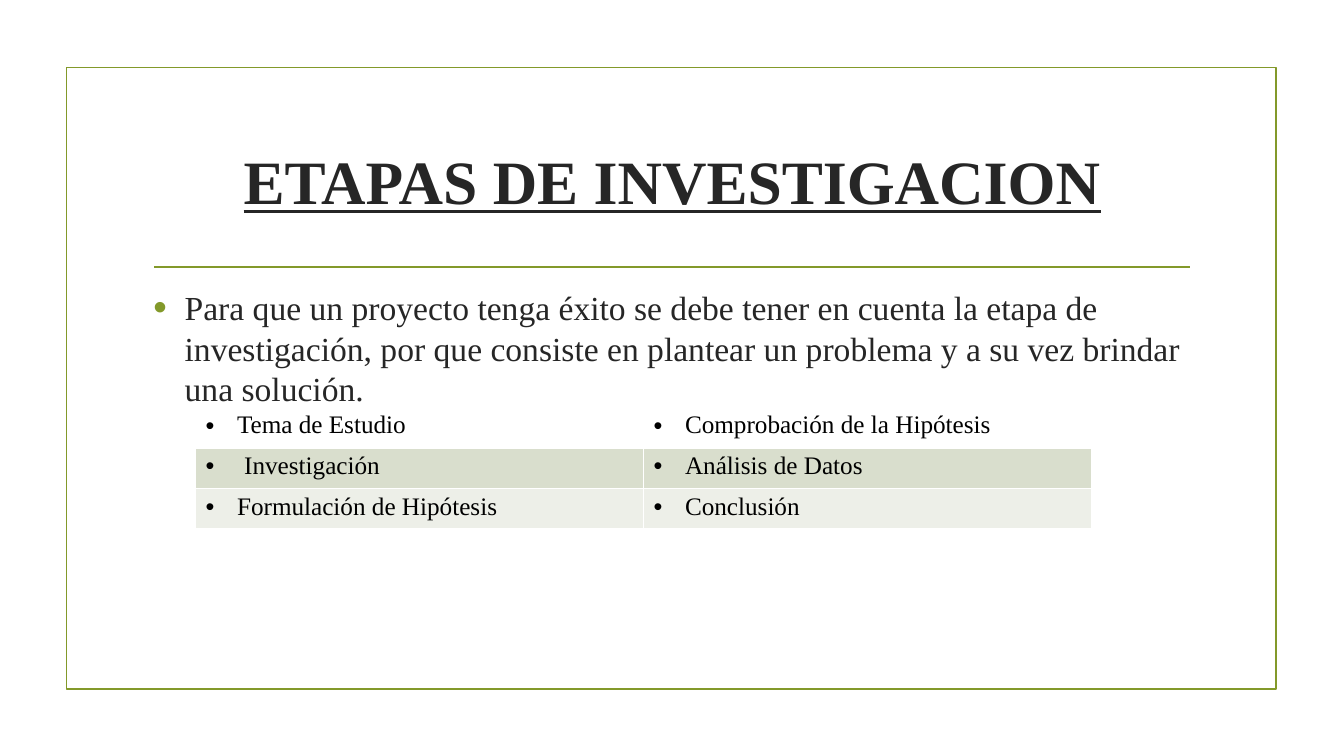
from lxml.etree import SubElement
from pptx import Presentation
from pptx.dml.color import RGBColor
from pptx.enum.shapes import MSO_CONNECTOR, MSO_SHAPE
from pptx.enum.text import MSO_ANCHOR, MSO_AUTO_SIZE, PP_ALIGN
from pptx.oxml.ns import qn
from pptx.util import Cm, Pt

FONT = "Times New Roman"
GREEN = "83992A"
TITLE = "ETAPAS DE INVESTIGACION"
INTRODUCTION = (
    "Para que un proyecto tenga éxito se debe tener en cuenta la etapa de "
    "investigación, por que consiste en plantear un problema y a su vez "
    "brindar una solución."
)
STAGES = [
    ["Tema de Estudio", "Comprobación de la Hipótesis"],
    ["Investigación", "Análisis de Datos"],
    ["Formulación de Hipótesis", "Conclusión"],
]
ROW_FILLS = [None, "D9DECD", "EDEFE8"]
WIDE_INDENT_STAGE = "Investigación"

TITLE_FORMAT = {"name": FONT, "size": Pt(44), "bold": True, "underline": True}
BODY_FORMAT = {"name": FONT, "size": Pt(24)}
STAGE_FORMAT = {"name": FONT, "size": Pt(18), "bold": False}


def color(value):
    return RGBColor.from_string(value)


def apply_format(target, values):
    for name, value in values.items():
        setattr(target, name, value)


def write(para, text, values, text_color):
    span = para.add_run()
    span.text = text
    apply_format(span.font, values)
    span.font.color.rgb = color(text_color)


def add_bullet(para, indent, bullet_color=None, percent=100):
    properties = para._p.get_or_add_pPr()
    properties.set("marL", str(Cm(indent)))
    properties.set("indent", str(-Cm(indent)))
    if bullet_color:
        holder = SubElement(properties, qn("a:buClr"))
        SubElement(holder, qn("a:srgbClr"), val=bullet_color)
    SubElement(properties, qn("a:buSzPct"), val=str(percent * 1000))
    SubElement(properties, qn("a:buFont"), typeface="Arial")
    SubElement(properties, qn("a:buChar"), char="•")


def place(shape, box):
    left, top, width, height = box
    apply_format(shape, {"left": Cm(left), "top": Cm(top),
                         "width": Cm(width), "height": Cm(height)})


def add_frame(page, box):
    frame = page.shapes.add_shape(MSO_SHAPE.RECTANGLE, *map(Cm, box))
    frame.shadow.inherit = False
    frame.fill.background()
    frame.line.color.rgb = color(GREEN)
    frame.line.width = Pt(1.25)


def add_title(page, box):
    left, top, width, height = box
    title = page.shapes.title
    place(title, box)
    apply_format(title.text_frame, {"word_wrap": True,
                                    "auto_size": MSO_AUTO_SIZE.NONE,
                                    "vertical_anchor": MSO_ANCHOR.MIDDLE})
    para = title.text_frame.paragraphs[0]
    para.alignment = PP_ALIGN.CENTER
    write(para, TITLE, TITLE_FORMAT, "262626")

    rule_y = Cm(top + height + 0.38)
    rule = page.shapes.add_connector(MSO_CONNECTOR.STRAIGHT, Cm(left + 0.28),
                                     rule_y, Cm(left + width - 0.28), rule_y)
    rule.line.color.rgb = color(GREEN)
    rule.line.width = Pt(1.25)
    SubElement(rule._element.spPr, qn("a:effectLst"))


def add_introduction(page, box):
    body = page.placeholders[1]
    place(body, box)
    apply_format(body.text_frame, {"word_wrap": True,
                                   "auto_size": MSO_AUTO_SIZE.NONE,
                                   "vertical_anchor": MSO_ANCHOR.TOP})
    para = body.text_frame.paragraphs[0]
    apply_format(para, {"line_spacing": 1.0, "space_after": Pt(6)})
    add_bullet(para, 0.79, GREEN, 115)
    write(para, INTRODUCTION, BODY_FORMAT, "262626")


def add_borders(cell, widths):
    properties = cell._tc.get_or_add_tcPr()
    for position, (side, width) in enumerate(widths.items()):
        border = SubElement(properties, qn(f"a:{side}"), w=str(Pt(width)))
        fill = SubElement(border, qn("a:solidFill"))
        SubElement(fill, qn("a:srgbClr"), val="FFFFFF")
        properties.insert(position, border)


def add_stages(page, box):
    table = page.shapes.add_table(len(STAGES), len(STAGES[0]),
                                  *map(Cm, box)).table
    apply_format(table, {"first_row": False, "horz_banding": False})
    for row_index, stages in enumerate(STAGES):
        for column_index, stage in enumerate(stages):
            cell = table.cell(row_index, column_index)
            para = cell.text_frame.paragraphs[0]
            add_bullet(para, 0.97 if stage == WIDE_INDENT_STAGE else 0.79)
            write(para, stage, STAGE_FORMAT, "000000")
            add_borders(cell, {"lnL": 1, "lnR": 1,
                               "lnT": 3 if row_index == 1 else 1,
                               "lnB": 3 if row_index == 0 else 1})
            if ROW_FILLS[row_index]:
                cell.fill.solid()
                cell.fill.fore_color.rgb = color(ROW_FILLS[row_index])
            else:
                cell.fill.background()


def main():
    deck = Presentation()
    apply_format(deck, {"slide_width": Cm(33.87), "slide_height": Cm(19.05)})
    page = deck.slides.add_slide(deck.slide_layouts[1])
    add_frame(page, (1.68, 1.7, 30.48, 15.67))
    add_title(page, (3.61, 2.72, 26.67, 3.63))
    add_introduction(page, (3.61, 7.11, 26.67, 9.22))
    add_stages(page, (4.93, 10.24, 22.58, 3.09))
    deck.save("out.pptx")


if __name__ == "__main__":
    main()
